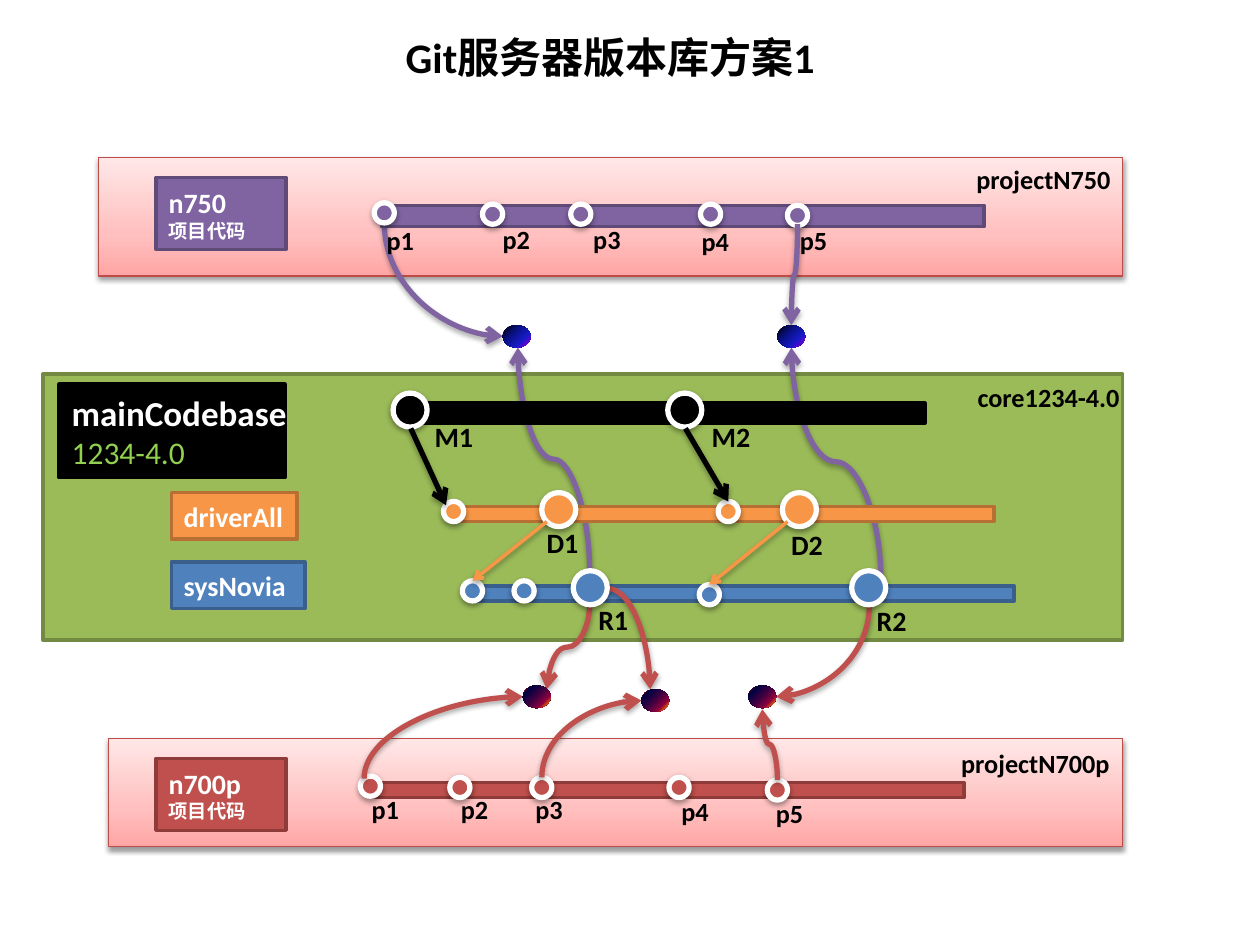
"""Build a slide of a version repository plan with project, driver and system branches."""
from dataclasses import dataclass

from lxml import etree
from pptx import Presentation
from pptx import util as u
from pptx.dml.color import RGBColor
from pptx.enum import shapes, text
from pptx.oxml.ns import qn

WHITE = RGBColor(0xFF, 0xFF, 0xFF)
BLACK = RGBColor(0, 0, 0)
GREEN = RGBColor(0x9B, 0xBB, 0x59)
MOSS = RGBColor(0x73, 0x8A, 0x42)
LIME = RGBColor(0x92, 0xD0, 0x50)
BLUE = RGBColor(0x4F, 0x81, 0xBD)
NAVY = RGBColor(0x3A, 0x5F, 0x8C)
RED = RGBColor(0xC0, 0x50, 0x4D)
WINE = RGBColor(0x8E, 0x3B, 0x39)
ROSE = RGBColor(0xBF, 0x4C, 0x48)
PURPLE = RGBColor(0x80, 0x64, 0xA2)
PLUM = RGBColor(0x5F, 0x4A, 0x78)
ORANGE = RGBColor(0xF7, 0x96, 0x46)
RUST = RGBColor(0xB7, 0x6F, 0x34)
PINK = ((0, "FFA6A5"), (35, "FFC0BF"), (100, "FFE7E7"))
FIRE = ((0, "FF0000"), (20, "000040"), (50, "400040"),
        (75, "8F0040"), (90, "F27300"), (100, "FFBF00"))
NIGHT = ((0, "000000"), (40, "0A128C"), (70, "181CC7"), (88, "7005D4"), (100, "8C3D91"))
RECT, OVAL = shapes.MSO_SHAPE.RECTANGLE, shapes.MSO_SHAPE.OVAL
BIG, SMALL = 0.27, 0.16


@dataclass
class Branch:
    """A bar with its commits, each given as left, top and size."""
    box: tuple
    fill: RGBColor
    edge: RGBColor
    dots: tuple


@dataclass
class Tag:
    """A filled name box with lines of text, size and colour."""
    box: tuple
    fill: RGBColor
    edge: RGBColor
    lines: tuple
    wrap: bool = False


@dataclass
class Link:
    """An arrow; bend is 0 for straight, otherwise the curved connector number."""
    start: tuple
    end: tuple
    color: RGBColor
    bend: int = 0
    width: float = 3
    down: bool = True


def shade(props, alpha: int, dist: float) -> None:
    """Give shape properties a soft shadow that falls downward."""
    box = props.find(qn("a:effectLst"))
    if box is None:
        box = etree.SubElement(props, qn("a:effectLst"))
    cast = etree.SubElement(box, qn("a:outerShdw"), blurRad="40000",
                            dist=str(u.Pt(dist)), dir="5400000", rotWithShape="0")
    tint = etree.SubElement(cast, qn("a:srgbClr"), val="000000")
    etree.SubElement(tint, qn("a:alpha"), val=str(alpha * 1000))


def write(shape, lines, wrap=False, bold=True, anchor=text.MSO_ANCHOR.TOP) -> None:
    """Write lines of text, size and colour into a shape."""
    frame = shape.text_frame
    frame.auto_size = text.MSO_AUTO_SIZE.NONE
    frame.word_wrap = wrap
    frame.vertical_anchor = anchor
    for n, (words, size, color) in enumerate(lines):
        para = frame.add_paragraph() if n else frame.paragraphs[0]
        para.alignment = text.PP_ALIGN.LEFT
        run = para.add_run()
        run.text = words
        font = run.font
        font.name, font.size, font.color.rgb = "Calibri", u.Pt(size), color
        font.bold = bold and color != LIME


def draw(kind, box, fill, edge=None, width=2.0, angle=0, cast=False):
    """Draw a preset shape with a plain colour or gradient stops."""
    shape = slide.shapes.add_shape(kind, *map(u.Inches, box))
    shape.shadow.inherit = False
    if isinstance(fill, RGBColor):
        shape.fill.solid()
        shape.fill.fore_color.rgb = fill
    else:
        shape.fill.gradient()
        shape.fill.gradient_angle = angle
        stops = shape._element.spPr.find(qn("a:gradFill")).find(qn("a:gsLst"))
        for old in list(stops):
            stops.remove(old)
        for spot, tint in fill:
            stop = etree.SubElement(stops, qn("a:gs"), pos=str(spot * 1000))
            etree.SubElement(stop, qn("a:srgbClr"), val=tint)
    if edge is None:
        shape.line.fill.background()
    else:
        shape.line.color.rgb = edge
        shape.line.width = u.Pt(width)
    if cast:
        shade(shape._element.spPr, 38, 1.6)
    return shape


def join(link: Link) -> None:
    """Draw a straight or curved arrow."""
    (x, y), (ex, ey) = link.start, link.end
    kinds = shapes.MSO_CONNECTOR
    kind = kinds.CURVE if link.bend else kinds.STRAIGHT
    line = slide.shapes.add_connector(kind, *map(u.Inches, (x, y, ex, ey)))
    line.line.color.rgb = link.color
    line.line.width = u.Pt(link.width)
    props = line._element.spPr
    etree.SubElement(props.find(qn("a:ln")), qn("a:tailEnd"), type="arrow")
    shade(props, 35, 1.8)
    if not link.bend:
        return
    props.find(qn("a:prstGeom")).set("prst", f"curvedConnector{link.bend}")
    if link.down:
        dx, dy = ex - x, ey - y
        wide, high = abs(dy), abs(dx)
        line.left = u.Inches((x + ex - wide) / 2)
        line.top = u.Inches((y + ey - high) / 2)
        line.width, line.height = u.Inches(wide), u.Inches(high)
        turn = 90 if dx * dy < 0 else 270
        form = props.find(qn("a:xfrm"))
        form.set("rot", str(turn * 60000))
        form.set("flipH", str(int(dx > 0)))
        form.set("flipV", str(int(dy < 0)))


def label(words: str, x: float, y: float, wide: float, size: int = 15) -> None:
    """Place a bold black label."""
    box = slide.shapes.add_textbox(*map(u.Inches, (x, y, wide, 0.35 if size == 15 else 0.37)))
    write(box, [(words, size, BLACK)])


BRANCHES = (
    Branch((3.75, 4.65, 4.3, 0.12), BLUE, NAVY,
           ((4.55, 4.53, BIG), (6.76, 4.53, BIG), (3.67, 4.61, SMALL),
            (4.08, 4.61, SMALL), (5.55, 4.64, SMALL))),
    Branch((3.2, 3.2, 4.14, 0.16), BLACK, BLACK, ((3.12, 3.12, BIG), (5.3, 3.12, BIG))),
    Branch((3.59, 4.02, 4.3, 0.12), ORANGE, RUST,
           ((4.3, 3.91, BIG), (6.21, 3.91, BIG), (3.52, 3.98, SMALL), (5.7, 3.98, SMALL))),
    Branch((2.94, 6.21, 4.71, 0.12), RED, WINE,
           ((2.86, 6.16, SMALL), (3.57, 6.17, SMALL), (4.22, 6.17, SMALL),
            (5.31, 6.17, SMALL), (6.09, 6.19, SMALL))),
    Branch((3.03, 1.63, 4.78, 0.17), PURPLE, PLUM,
           ((2.97, 1.61, SMALL), (3.83, 1.62, SMALL), (4.53, 1.62, SMALL),
            (5.56, 1.62, SMALL), (6.25, 1.63, SMALL))),
)
TAGS = (
    Tag((0.47, 3.05, 1.79, 0.74), BLACK, BLACK,
        (("mainCodebase", 20, WHITE), ("1234-4.0", 18, LIME))),
    Tag((1.36, 3.91, 1, 0.37), ORANGE, RUST, (("driverAll", 16, WHITE),)),
    Tag((1.36, 4.46, 1.06, 0.37), BLUE, NAVY, (("sysNovia", 16, WHITE),)),
    Tag((1.24, 6.02, 1.03, 0.57), RED, WINE,
        (("n700p", 16, WHITE), ("项目代码", 11, WHITE)), True),
    Tag((1.24, 1.41, 1.03, 0.57), PURPLE, PLUM,
        (("n750", 16, WHITE), ("项目代码", 11, WHITE)), True),
)
BACK = (
    Link((4.82, 4.67), (5.16, 5.47), RED, 2, down=False),
    Link((3.05, 1.77), (3.99, 2.67), PURPLE, 2),
    Link((4.68, 4.53), (4.11, 2.76), PURPLE, 3),
    Link((4.68, 4.8), (4.34, 5.47), RED, 3),
    Link((6.9, 4.8), (6.16, 5.53), RED, 2),
    Link((6.99, 4.57), (6.28, 2.76), PURPLE, 3),
)
FRONT = (
    Link((2.89, 6.18), (4.15, 5.53), RED, 2),
    Link((4.3, 6.17), (5.09, 5.56), RED, 2),
    Link((6.17, 6.19), (6.05, 5.63), RED, 3),
    Link((6.33, 1.78), (6.28, 2.58), PURPLE, 3),
    Link((4.34, 4.14), (3.75, 4.61), ORANGE, width=2),
    Link((6.25, 4.14), (5.63, 4.64), ORANGE, width=2),
    Link((3.26, 3.4), (3.54, 4.01), BLACK),
    Link((5.44, 3.4), (5.78, 3.98), BLACK),
)
BALLS = ((4.15, 5.44, FIRE), (5.94, 5.44, FIRE), (5.09, 5.47, FIRE),
         (3.99, 2.58, NIGHT), (6.17, 2.58, NIGHT))
POINTS = (((2.97, 1.73), (3.89, 1.72), (4.61, 1.72), (5.47, 1.74), (6.25, 1.73)),
          ((2.85, 6.25), (3.56, 6.25), (4.15, 6.25), (5.31, 6.26), (6.06, 6.28)))
MARKS = (("M1", 3.35, 3.28, 0.51), ("M2", 5.55, 3.28, 0.51), ("D1", 4.24, 4.12, 0.46),
         ("D2", 6.18, 4.14, 0.46), ("R1", 4.65, 4.73, 0.44), ("R2", 6.86, 4.74, 0.44))
NAMES = (("projectN750", 7.65, 1.25, 1.33), ("core1234-4.0", 7.66, 2.98, 1.31),
         ("projectN700p", 7.53, 5.88, 1.45))

deck = Presentation()
deck.slide_width, deck.slide_height = u.Inches(10), u.Inches(7.5)
slide = deck.slides.add_slide(deck.slide_layouts[5])
title = slide.shapes.title
title.left, title.top, title.width, title.height = map(u.Inches, (3.12, 0.2, 3.49, 0.5))
write(title, [("Git服务器版本库方案1", 24, BLACK)], wrap=True)

draw(RECT, (0.34, 2.97, 8.57, 2.11), GREEN, MOSS)
for box in ((0.78, 1.25, 8.13, 0.94), (0.86, 5.86, 8.05, 0.86)):
    draw(RECT, box, PINK, ROSE, width=0.75, angle=90, cast=True)
draw(RECT, BRANCHES[0].box, BLUE, NAVY)
for link in BACK:
    join(link)
for branch in BRANCHES[1:]:
    draw(RECT, branch.box, branch.fill, branch.edge)
for branch in BRANCHES:
    for x, y, size in branch.dots:
        draw(OVAL, (x, y, size, size), branch.fill, WHITE, width=3, cast=True)
for link in FRONT:
    join(link)
for x, y, stops in BALLS:
    draw(OVAL, (x, y, 0.22, 0.18), stops, angle=315)
for tag in TAGS:
    write(draw(RECT, tag.box, tag.fill, tag.edge), tag.lines, wrap=tag.wrap,
          anchor=text.MSO_ANCHOR.MIDDLE)
for row in POINTS:
    for n, (x, y) in enumerate(row, 1):
        label(f"p{n}", x, y, 0.42)
for mark in MARKS:
    label(*mark, size=16)
for name in NAMES:
    label(*name)
deck.save("out.pptx")
